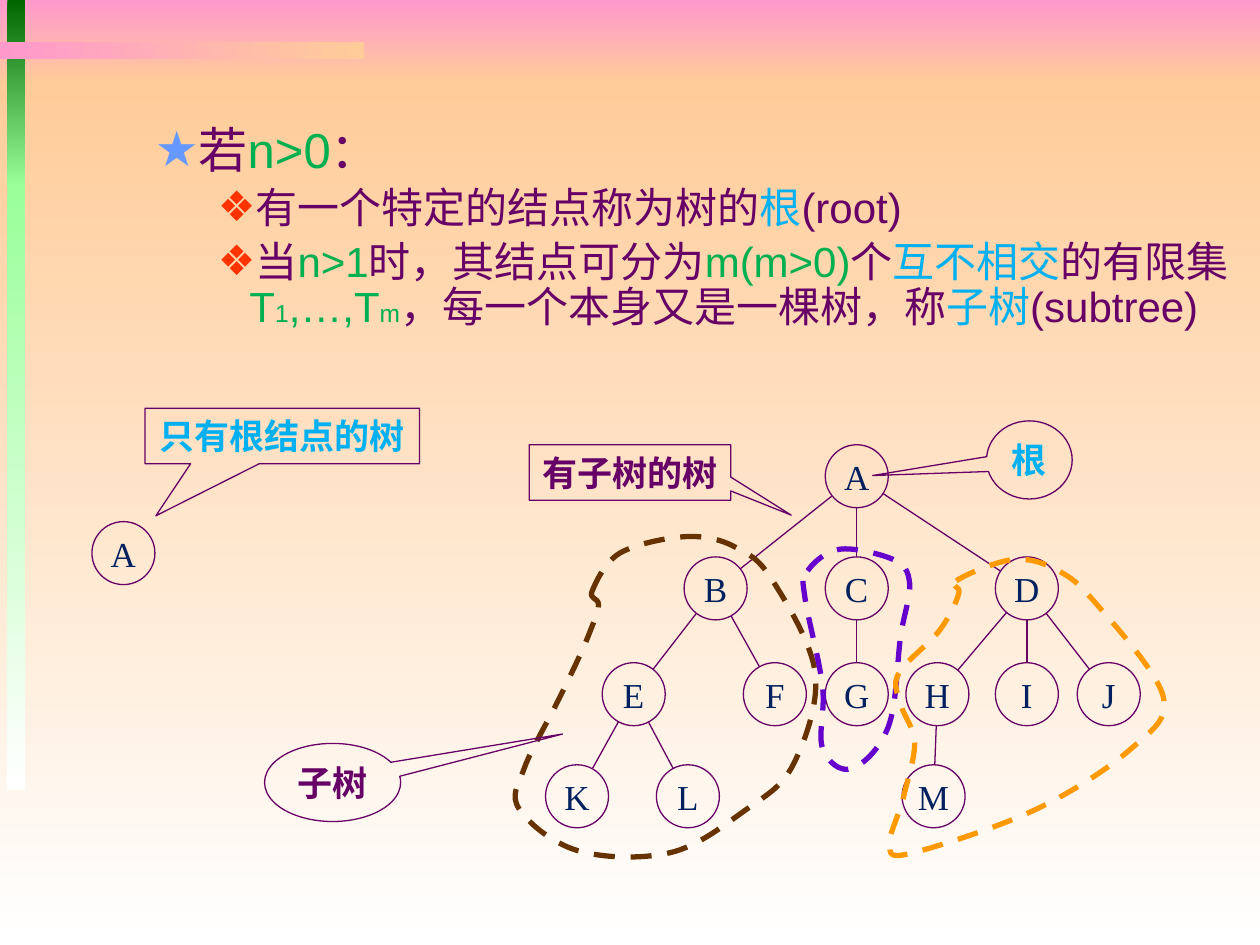
import math

from lxml import etree
from pptx import Presentation
from pptx.dml.color import RGBColor
from pptx.enum import dml, shapes, text
from pptx.oxml import ns
from pptx import util as u

PX = 9144  # EMU per px on a 1000 x 750 px canvas

PURPLE = RGBColor.from_string("660066")
NAVY = RGBColor.from_string("002060")
GREEN = RGBColor.from_string("00B050")
SKY = RGBColor.from_string("00B0F0")
BLUE = RGBColor.from_string("6699FF")
RED = RGBColor.from_string("FF3300")
BROWN = RGBColor.from_string("663300")
VIOLET = RGBColor.from_string("6600CC")
ORANGE = RGBColor.from_string("FF9900")
PINK = RGBColor.from_string("FF99CC")
PEACH = RGBColor.from_string("FFCC99")
WHITE = RGBColor.from_string("FFFFFF")
DARK_GREEN = RGBColor.from_string("006600")
LIGHT_GREEN = RGBColor.from_string("99FF99")

# Gradient bands: box, first colour, last colour, angle
BANDS = [
    ((0, 0, 1000, 67), PINK, PEACH, 270),
    ((0, 67, 1000, 683), PEACH, WHITE, 270),
    ((6, 0, 14, 148), DARK_GREEN, LIGHT_GREEN, 270),
    ((6, 146, 14, 481), LIGHT_GREEN, WHITE, 270),
    ((0, 33, 289, 14), PINK, PEACH, 0),
]

# Body: level, runs of (text, colour[, size])
BODY_BOX = (63, 95, 930, 176)
LEVELS = {  # level: size, left margin, indent, bullet, bullet colour
    1: (28, 81, -31, "★", BLUE),
    2: (24, 125, -25, "❖", RED),
}
BODY = [
    (1, [("若", PURPLE), ("n>0", GREEN), ("：", PURPLE)]),
    (2, [("有一个特定的结点称为树的", PURPLE), ("根", SKY), ("(root)", PURPLE)]),
    (2, [("当", PURPLE), ("n>1", GREEN), ("时，其结点可分为", PURPLE),
         ("m(m>0)", GREEN), ("个", PURPLE), ("互不相交", SKY), ("的有限集", PURPLE),
         ("T", GREEN), ("1", GREEN, 14), (",…,T", GREEN), ("m", GREEN, 14),
         ("，每一个本身又是一棵树，称", PURPLE), ("子树", SKY), ("(subtree)", PURPLE)]),
]

# Tree nodes: top of each row, then label and left edge
NODE_SIZE = 50
ROOT_ONLY = ("A", (73, 414))
NODE_ROWS = [
    (353, {"A": 655}),
    (442, {"B": 543, "C": 655, "D": 790}),
    (526, {"E": 478, "F": 590, "G": 655, "H": 719, "I": 790, "J": 855}),
    (607, {"K": 433, "L": 521, "M": 716}),
]
CHILDREN = {"A": "BCD", "B": "EF", "C": "G", "D": "HIJ", "E": "KL", "H": "M"}

RECT_CALLOUT = shapes.MSO_SHAPE.RECTANGULAR_CALLOUT
OVAL_CALLOUT = shapes.MSO_SHAPE.OVAL_CALLOUT
CALLOUTS = [  # label, kind, box, pointer, text colour
    ("只有根结点的树", RECT_CALLOUT, (115, 324, 218, 44), (-0.46, 1.44), SKY),
    ("有子树的树", RECT_CALLOUT, (420, 353, 160, 44), (0.8, 0.77), PURPLE),
    ("根", OVAL_CALLOUT, (783, 334, 68, 62), (-1.83, 0.2), SKY),
    ("子树", OVAL_CALLOUT, (210, 590, 108, 62), (1.69, -0.62), PURPLE),
]

# Subtree outlines: points on a smooth closed curve
OUTLINES = [
    (BROWN, [(470, 469), (492, 439), (543, 426), (583, 434), (612, 459), (647, 534),
             (630, 606), (593, 642), (531, 677), (458, 675), (412, 642), (416, 610),
             (443, 556), (468, 502), (475, 480)]),
    (VIOLET, [(641, 453), (666, 436), (709, 444), (722, 463), (715, 504), (705, 577),
              (676, 610), (653, 594), (653, 546), (639, 475)]),
    (ORANGE, [(759, 461), (805, 444), (840, 453), (869, 478), (923, 552), (898, 594),
              (823, 642), (724, 677), (706, 670), (717, 633), (726, 590), (715, 559),
              (713, 535), (746, 500), (761, 471)]),
]


def emu(lengths):
    return [round(length * PX) for length in lengths]


def add_run(paragraph, content, size=20, color=NAVY, font="Times New Roman", bold=False):
    run = paragraph.add_run()
    run.text = content
    run.font.size = u.Pt(size)
    run.font.name = font
    run.font.bold = bold
    run.font.color.rgb = color


def add_element(parent, tag, **attributes):
    return etree.SubElement(parent, ns.qn(tag), attributes)


def add_labelled(slide, kind, box, label, **style):
    shape = slide.shapes.add_shape(kind, *emu(box))
    shape.shadow.inherit = False
    shape.fill.background()
    shape.line.color.rgb = PURPLE
    shape.line.width = u.Pt(0.75)
    frame = shape.text_frame
    frame.word_wrap = False
    frame.vertical_anchor = text.MSO_ANCHOR.MIDDLE
    frame.paragraphs[0].alignment = text.PP_ALIGN.CENTER
    add_run(frame.paragraphs[0], label, **style)
    return shape


def add_node(slide, label, corner):
    add_labelled(slide, shapes.MSO_SHAPE.OVAL, (*corner, NODE_SIZE, NODE_SIZE), label)


def add_edge(slide, parent, child):
    """Join two equal circles from rim to rim."""
    radius = NODE_SIZE / 2
    (x1, y1), (x2, y2) = [(x + radius, y + radius) for x, y in (parent, child)]
    share = radius / math.dist((x1, y1), (x2, y2))
    dx, dy = (x2 - x1) * share, (y2 - y1) * share
    edge = slide.shapes.add_connector(shapes.MSO_CONNECTOR.STRAIGHT,
                                      *emu((x1 + dx, y1 + dy, x2 - dx, y2 - dy)))
    edge.line.color.rgb = PURPLE
    edge.line.width = u.Pt(0.75)
    add_element(edge._element.spPr, "a:effectLst")


def add_body(slide):
    body = slide.placeholders[1]
    body.left, body.top, body.width, body.height = emu(BODY_BOX)
    slide.shapes._spTree.append(body._element)  # in front of the bands
    frame = body.text_frame
    frame.word_wrap = True
    frame.auto_size = text.MSO_AUTO_SIZE.NONE
    for index, (level, runs) in enumerate(BODY):
        paragraph = frame.paragraphs[0] if index == 0 else frame.add_paragraph()
        size, margin, indent, bullet, bullet_color = LEVELS[level]
        paragraph.level = level
        properties = paragraph._p.get_or_add_pPr()
        properties.set("marL", str(margin * PX))
        properties.set("indent", str(indent * PX))
        if index:
            add_element(add_element(properties, "a:spcBef"), "a:spcPct", val="20000")
        else:
            paragraph.space_before = u.Pt(0)
        add_element(add_element(properties, "a:buClr"), "a:srgbClr", val=str(bullet_color))
        add_element(properties, "a:buChar", char=bullet)
        paragraph.line_spacing = 0.9
        for content, color, *special in runs:
            add_run(paragraph, content, size=special[0] if special else size,
                    color=color, font="Arial")


def smooth(knots):
    """Give the Bezier control and end points of a closed curve through the knots."""
    count = len(knots)
    points = []
    for i in range(count):
        before, start, end, after = [knots[(i + step) % count] for step in (-1, 0, 1, 2)]
        points.append([round(s + (e - b) / 6) for b, s, e in zip(before, start, end)])
        points.append([round(e - (a - s) / 6) for s, e, a in zip(start, end, after)])
        points.append(end)
    return points


def add_outline(slide, color, knots):
    builder = slide.shapes.build_freeform(*knots[0], scale=PX)
    builder.add_line_segments(smooth(knots), close=False)
    shape = builder.convert_to_shape()
    # Join each three line segments into one Bezier curve
    path = shape._element.find(".//" + ns.qn("a:path"))
    segments = path.findall(ns.qn("a:lnTo"))
    for start in range(0, len(segments), 3):
        curve = add_element(path, "a:cubicBezTo")
        for segment in segments[start:start + 3]:
            curve.append(segment[0])
            path.remove(segment)
    add_element(path, "a:close")
    shape.shadow.inherit = False
    shape.fill.background()
    shape.line.color.rgb = color
    shape.line.width = u.Pt(3)
    shape.line.dash_style = dml.MSO_LINE.DASH


def main():
    presentation = Presentation()
    presentation.slide_width, presentation.slide_height = emu((1000, 750))
    slide = presentation.slides.add_slide(presentation.slide_layouts[1])
    title = slide.shapes.title._element
    title.getparent().remove(title)

    # Background bands
    for box, first, last, angle in BANDS:
        band = slide.shapes.add_shape(shapes.MSO_SHAPE.RECTANGLE, *emu(box))
        band.shadow.inherit = False
        band.line.fill.background()
        band.fill.gradient()
        band.fill.gradient_angle = angle
        for stop, color in zip(band.fill.gradient_stops, (first, last)):
            stop.color.rgb = color

    add_body(slide)

    # Trees
    corners = {label: (left, top) for top, row in NODE_ROWS for label, left in row.items()}
    for label, corner in [ROOT_ONLY, *corners.items()]:
        add_node(slide, label, corner)
    for parent, children in CHILDREN.items():
        for child in children:
            add_edge(slide, corners[parent], corners[child])

    # Subtree outlines and callouts
    for color, knots in OUTLINES:
        add_outline(slide, color, knots)
    for label, kind, box, pointer, color in CALLOUTS:
        callout = add_labelled(slide, kind, box, label, color=color, bold=True)
        callout.adjustments[0], callout.adjustments[1] = pointer

    presentation.save("out.pptx")


if __name__ == "__main__":
    main()
